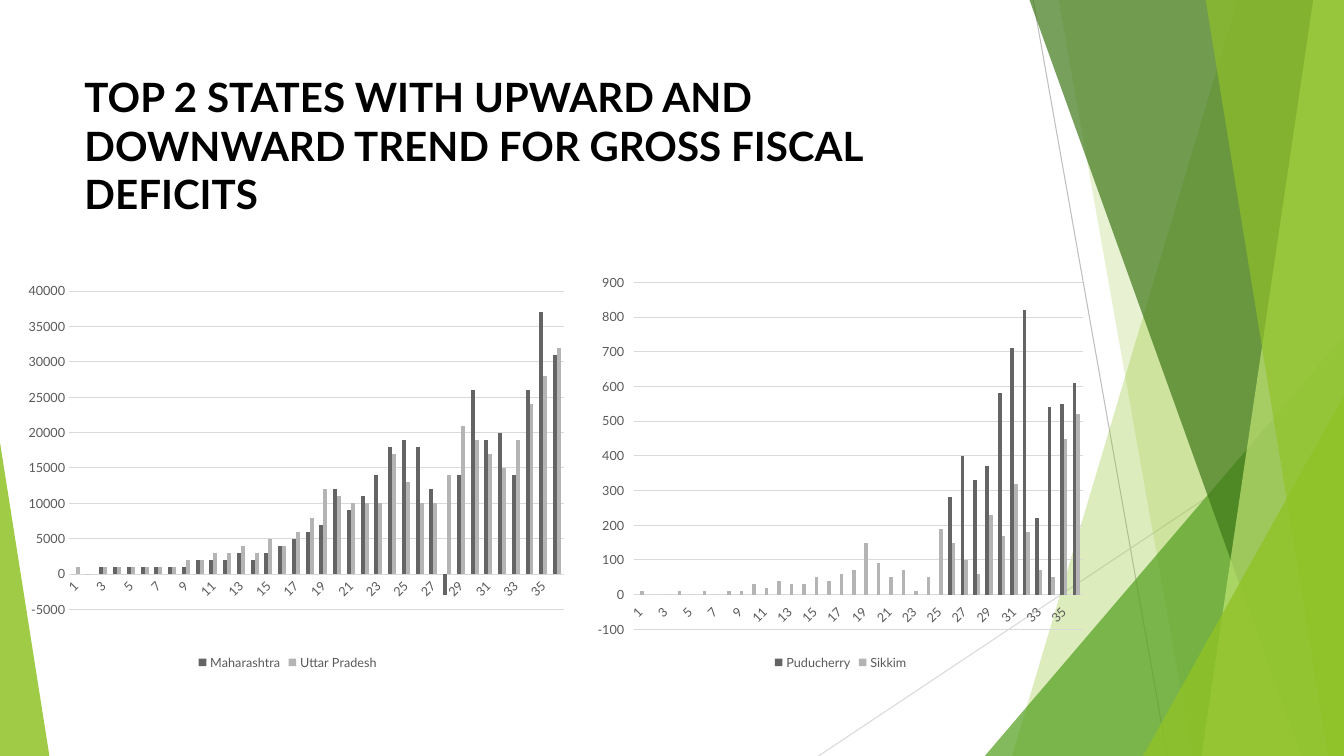
from dataclasses import dataclass

from lxml.etree import SubElement, fromstring
from pptx import Presentation
from pptx.chart.data import CategoryChartData
from pptx.dml.color import RGBColor
from pptx.enum.chart import XL_CHART_TYPE, XL_LEGEND_POSITION, XL_TICK_MARK
from pptx.enum.shapes import MSO_CONNECTOR, MSO_SHAPE
from pptx.oxml.ns import nsdecls, qn
from pptx.util import Pt

FONT = "Lato"
WIDTH, HEIGHT = 960, 540
TOP = -0.72
COLORS = {
    "background": "FFFFFF",
    "title": "000000",
    "axis text": "595959",
    "grid": "D9D9D9",
    "steep line": "BFBFBF",
    "lime": "90C226",
    "leaf": "54A021",
    "forest": "3F7819",
    "pale": "C0E474",
    "first series": "646464",
    "second series": "B4B4B4",
}


@dataclass(frozen=True)
class Line:
    start: tuple[float, float]
    end: tuple[float, float]
    color: str


@dataclass(frozen=True)
class Band:
    """A full-height band running from its slanted left edge to the slide's right edge."""
    top_x: float
    bottom_x: float
    color: str
    opacity: int


@dataclass(frozen=True)
class Triangle:
    """A triangle on the slide's bottom edge; apex is 0 (left) to 1 (right)."""
    left: float
    top: float
    width: float
    apex: float
    color: str
    opacity: int


@dataclass(frozen=True)
class DeficitChart:
    box: tuple[float, float, float, float]
    plot: tuple[float, float, float, float]
    scale: tuple[int, int, int]
    tick: XL_TICK_MARK
    series: dict[str, list]


LINES = [
    Line((738, 0), (833.76, HEIGHT), "steep line"),
    Line((WIDTH, 290.16), (584.64, HEIGHT), "grid"),
]
FACETS = [
    Band(884.16, 722.88, "lime", 30),
    Band(756, 851.76, "lime", 20),
    Triangle(703.44, 239.76, 256.56, 1, "leaf", 72),
    Band(735.12, 929.52, "forest", 70),
    Band(938.16, 858.24, "pale", 70),
    Band(861.12, 948.96, "lime", 65),
    Triangle(816.48, 282.96, 143.52, 1, "lime", 80),
    Triangle(0, 316.08, 35.28, 0, "lime", 85),
]
CHARTS = [
    DeficitChart(
        (0, 151.92, 411.12, 329.76), (0.12, 0.17, 0.86, 0.69), (-5000, 40000, 5000),
        XL_TICK_MARK.NONE,
        {
            "Maharashtra": [
                0, 0, 1000, 1000, 1000, 1000, 1000, 1000, 1000, 2000, 2000, 2000,
                3000, 2000, 3000, 4000, 5000, 6000, 7000, 12000, 9000, 11000, 14000, 18000,
                19000, 18000, 12000, -3000, 14000, 26000, 19000, 20000, 14000, 26000, 37000, 31000],
            "Uttar Pradesh": [
                1000, 0, 1000, 1000, 1000, 1000, 1000, 1000, 2000, 2000, 3000, 3000,
                4000, 3000, 5000, 4000, 6000, 8000, 12000, 11000, 10000, 10000, 10000, 17000,
                13000, 10000, 10000, 14000, 21000, 19000, 17000, 15000, 19000, 24000, 28000, 32000],
        }),
    DeficitChart(
        (420.48, 190.08, 360, 291.6), (0.09, 0.04, 0.89, 0.85), (-100, 900, 100),
        XL_TICK_MARK.OUTSIDE,
        {
            "Puducherry": [None] * 25 + [280, 400, 330, 370, 580, 710, 820, 220, 540, 550, 610],
            "Sikkim": [
                10, 0, 0, 10, 0, 10, 0, 10, 10, 30, 20, 40,
                30, 30, 50, 40, 60, 70, 150, 90, 50, 70, 10, 50,
                190, 150, 100, 60, 230, 170, 320, 180, 70, 50, 450, 520],
        }),
]


def rgb(name: str) -> RGBColor:
    return RGBColor.from_string(COLORS[name])


def style_font(font, size: float, color: str) -> None:
    font.name, font.size = FONT, Pt(size)
    font.color.rgb = rgb(color)


def draw_line(slide, line: Line) -> None:
    ends = [Pt(value) for value in line.start + line.end]
    connector = slide.shapes.add_connector(MSO_CONNECTOR.STRAIGHT, *ends)
    connector.line.color.rgb = rgb(line.color)
    connector.line.width = Pt(0.75)
    SubElement(connector._element.spPr, qn("a:effectLst"))


def draw_facet(slide, facet: Band | Triangle) -> None:
    if isinstance(facet, Band):
        builder = slide.shapes.build_freeform(Pt(facet.top_x), Pt(TOP))
        corners = [(WIDTH, TOP), (WIDTH, HEIGHT), (facet.bottom_x, HEIGHT)]
        builder.add_line_segments([(Pt(x), Pt(y)) for x, y in corners], close=True)
        shape = builder.convert_to_shape()
    else:
        shape = slide.shapes.add_shape(
            MSO_SHAPE.ISOSCELES_TRIANGLE, Pt(facet.left), Pt(facet.top),
            Pt(facet.width), Pt(HEIGHT - facet.top))
        shape.adjustments[0] = facet.apex
    shape.shadow.inherit = False
    shape.line.fill.background()
    shape.fill.solid()
    shape.fill.fore_color.rgb = rgb(facet.color)
    color = shape._element.spPr.find(".//" + qn("a:srgbClr"))
    SubElement(color, qn("a:alpha")).set("val", str(facet.opacity * 1000))


def draw_title(slide) -> None:
    shape = slide.shapes.add_textbox(Pt(53.28), Pt(48.24), Pt(676.8), Pt(103.68))
    shape.text_frame.word_wrap = True
    shape.text_frame.text = (
        "TOP 2 STATES WITH UPWARD AND DOWNWARD TREND FOR GROSS FISCAL DEFICITS")
    font = shape.text_frame.paragraphs[0].runs[0].font
    style_font(font, 28.8, "title")
    font.bold = True


def place_plot(chart, plot: tuple[float, float, float, float]) -> None:
    """Fix the inner plot area at left, top, width and height fractions of the chart."""
    plot_area = chart._chartSpace.chart.plotArea
    for layout in plot_area.findall(qn("c:layout")):
        plot_area.remove(layout)
    sizes = "".join(f'<c:{key} val="{value}"/>' for key, value in zip("xywh", plot))
    plot_area.insert(0, fromstring(
        f'<c:layout {nsdecls("c")}><c:manualLayout><c:layoutTarget val="inner"/>'
        f'<c:xMode val="edge"/><c:yMode val="edge"/>{sizes}</c:manualLayout></c:layout>'))


def draw_chart(slide, deficit: DeficitChart) -> None:
    data = CategoryChartData()
    data.categories = [str(number) for number in range(1, 37)]
    for name, values in deficit.series.items():
        data.add_series(name, values)
    box = [Pt(value) for value in deficit.box]
    chart = slide.shapes.add_chart(XL_CHART_TYPE.COLUMN_CLUSTERED, *box, data).chart
    style_font(chart.font, 10, "title")
    chart.has_title = False
    chart.has_legend = True
    chart.legend.position = XL_LEGEND_POSITION.BOTTOM
    chart.legend.include_in_layout = False
    style_font(chart.legend.font, 9, "axis text")
    columns = chart.plots[0]
    columns.gap_width, columns.overlap, columns.vary_by_categories = 150, 0, False
    for series, color in zip(columns.series, ("first series", "second series")):
        series.format.fill.solid()
        series.format.fill.fore_color.rgb = rgb(color)
        series.invert_if_negative = False
    for axis in (chart.category_axis, chart.value_axis):
        axis.major_tick_mark = deficit.tick
        axis.minor_tick_mark = XL_TICK_MARK.NONE
        axis.format.line.fill.background()
        style_font(axis.tick_labels.font, 9, "axis text")
    chart.category_axis._element.find(".//" + qn("a:bodyPr")).set("rot", "-2700000")
    values = chart.value_axis
    values.minimum_scale, values.maximum_scale, values.major_unit = deficit.scale
    values.major_gridlines.format.line.color.rgb = rgb("grid")
    values.major_gridlines.format.line.width = Pt(0.75)
    place_plot(chart, deficit.plot)


def main() -> None:
    presentation = Presentation()
    presentation.slide_width, presentation.slide_height = Pt(WIDTH), Pt(HEIGHT)
    slide = presentation.slides.add_slide(presentation.slide_layouts[6])
    slide.background.fill.solid()
    slide.background.fill.fore_color.rgb = rgb("background")
    for line in LINES:
        draw_line(slide, line)
    for facet in FACETS:
        draw_facet(slide, facet)
    draw_title(slide)
    for deficit in CHARTS:
        draw_chart(slide, deficit)
    presentation.save("out.pptx")


if __name__ == "__main__":
    main()
